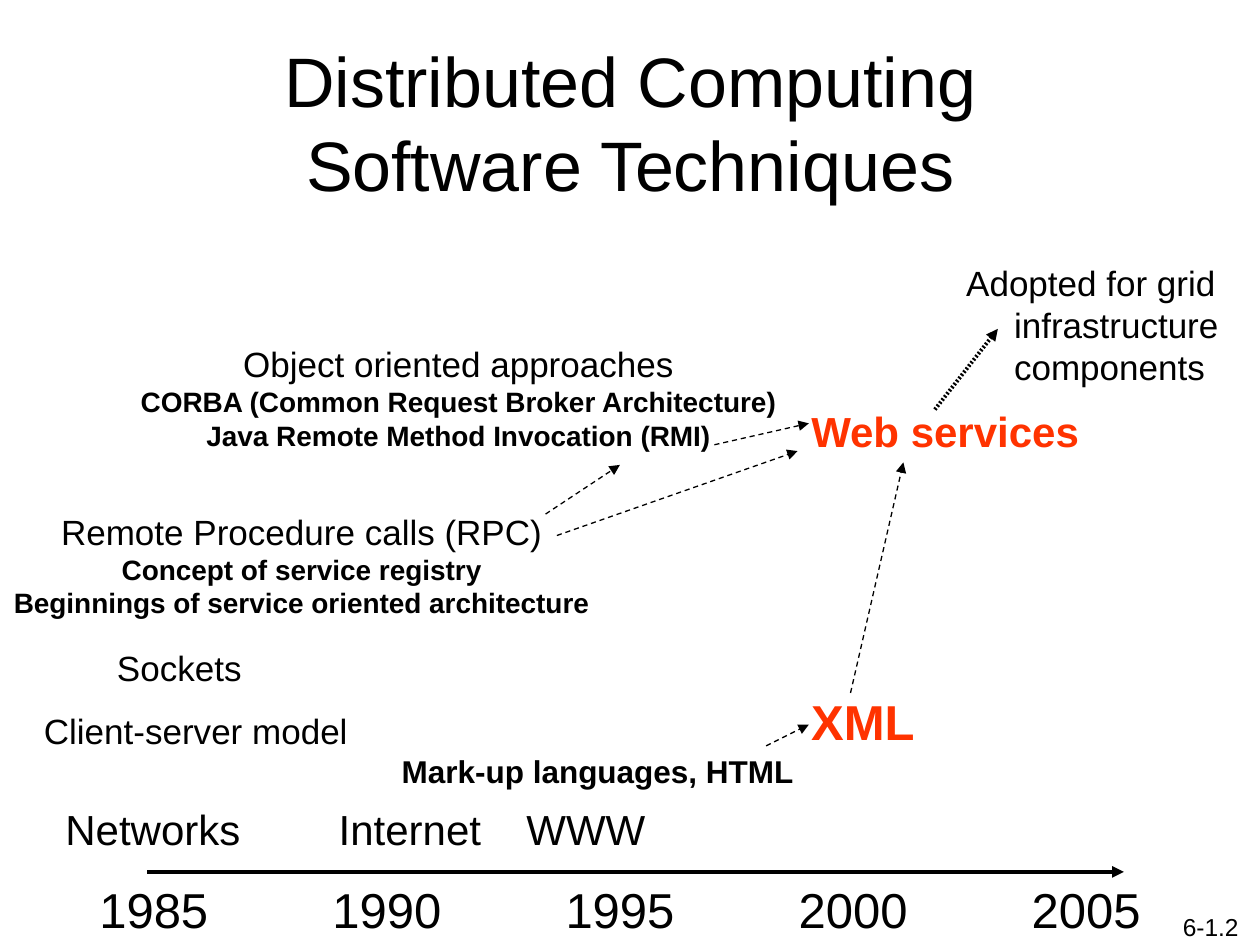
from lxml import etree
from pptx import Presentation
from pptx.dml.color import RGBColor
from pptx.enum.dml import MSO_LINE
from pptx.enum.shapes import MSO_CONNECTOR
from pptx.enum.text import MSO_ANCHOR, MSO_AUTO_SIZE, PP_ALIGN
from pptx.oxml.ns import qn
from pptx.util import Inches, Pt

LEFT, CENTER, RIGHT = PP_ALIGN.LEFT, PP_ALIGN.CENTER, PP_ALIGN.RIGHT
STRAIGHT = MSO_CONNECTOR.STRAIGHT
DASH = MSO_LINE.DASH
FINE_DOTS = "50000"  # dot and gap, in thousandths of a percent of the line width
COLORS = {"text": "000000", "accent": "FF3300"}
FONT = "Arial"

TITLE = ["Distributed Computing", "Software Techniques"]
PAGE = "6-1.2"
YEARS = range(1985, 2006, 5)
YEAR_LEFT, YEAR_STEP = 0.69, 1.85

# text, left, width
ERAS = [("Networks", 0.42, 1.62), ("Internet", 2.59, 1.36), ("WWW", 4.08, 1.18)]

# heading, bold details, box
APPROACHES = [
    ("Remote Procedure calls (RPC)",
     ["Concept of service registry", "Beginnings of service oriented architecture"],
     (0.01, 4, 4.77, 0.97)),
    ("Object oriented approaches",
     ["CORBA (Common Request Broker Architecture)", "Java Remote Method Invocation (RMI)"],
     (1.01, 2.67, 5.26, 0.97)),
]

# text, box, size, bold, color
LABELS = [
    ("Sockets", (0.83, 5.08, 1.21, 0.44), 20, False, "text"),
    ("Client-server model", (0.25, 5.58, 2.63, 0.44), 20, False, "text"),
    ("Mark-up languages, HTML", (3.09, 5.92, 3.33, 0.4), 18, True, "text"),
    ("XML", (6.34, 5.44, 1.04, 0.57), 28, True, "accent"),
    ("Web services", (6.34, 3.17, 2.35, 0.5), 24, True, "accent"),
]
ADOPTION = "Adopted for grid infrastructure components"

# start, end, width, dash
ARROWS = [
    ((1.17, 6.92), (8.92, 6.92), 2.25, None),        # time axis
    ((7.42, 3.25), (7.92, 2.61), 2.25, FINE_DOTS),   # Web services to grid
    ((6.75, 5.5), (7.17, 3.67), 0.75, DASH),         # XML to Web services
    ((6.08, 5.92), (6.42, 5.75), 0.75, DASH),        # HTML to XML
    ((4.42, 4.25), (6.33, 3.58), 0.75, DASH),        # RPC to Web services
    ((4.33, 4.08), (4.92, 3.69), 0.75, DASH),        # RPC to objects
    ((5.67, 3.53), (6.42, 3.36), 0.75, DASH),        # RMI to Web services
]


def write(tf, lines, align=LEFT):
    """Fill a text frame with (text, size, bold, color) lines."""
    tf.text = "\n".join(line[0] for line in lines)
    for p, (_, size, bold, color) in zip(tf.paragraphs, lines):
        p.alignment = align
        p.space_before = Pt(0)
        for r in p.runs:
            r.font.name = FONT
            r.font.size = Pt(size)
            r.font.bold = bold
            r.font.color.rgb = RGBColor.from_string(COLORS[color])


def add_text(s, box, lines, align=LEFT, wrap=False):
    tf = s.shapes.add_textbox(*map(Inches, box)).text_frame
    tf.word_wrap = wrap
    tf.auto_size = MSO_AUTO_SIZE.NONE if wrap else MSO_AUTO_SIZE.SHAPE_TO_FIT_TEXT
    write(tf, lines, align)
    return tf


def add_arrow(s, start, end, width, dash):
    c = s.shapes.add_connector(STRAIGHT, *map(Inches, start + end))
    c.line.color.rgb = RGBColor.from_string(COLORS["text"])
    c.line.width = Pt(width)
    ln = c.line._get_or_add_ln()
    if dash == FINE_DOTS:
        dots = etree.SubElement(ln, qn("a:custDash"))
        etree.SubElement(dots, qn("a:ds"), d=dash, sp=dash)
    elif dash is not None:
        c.line.dash_style = dash
    etree.SubElement(ln, qn("a:tailEnd"), type="triangle")
    etree.SubElement(ln.getparent(), qn("a:effectLst"))


def main():
    prs = Presentation()
    prs.slide_width, prs.slide_height = Inches(10), Inches(7.5)
    s = prs.slides.add_slide(prs.slide_layouts[5])

    title = s.shapes.title
    title.left, title.top, title.width, title.height = map(Inches, (1.25, 0.25, 7.5, 1.44))
    tf = title.text_frame
    tf.vertical_anchor = MSO_ANCHOR.TOP
    tf.auto_size = MSO_AUTO_SIZE.NONE
    write(tf, [(line, 40, False, "text") for line in TITLE], CENTER)

    add_text(s, (7.85, 7.19, 2.08, 0.5), [(PAGE, 14, False, "text")], RIGHT, wrap=True)
    for i, year in enumerate(YEARS):
        add_text(s, (YEAR_LEFT + i * YEAR_STEP, 6.93, 1.1, 0.57),
                 [(str(year), 28, False, "text")])
    for text, left, width in ERAS:
        add_text(s, (left, 6.33, width, 0.5), [(text, 24, False, "text")])
    for heading, details, box in APPROACHES:
        lines = [(heading, 20, False, "text")] + [(d, 16, True, "text") for d in details]
        add_text(s, box, lines, CENTER)
    for text, box, size, bold, color in LABELS:
        add_text(s, box, [(text, size, bold, color)])

    tf = add_text(s, (7.57, 2.03, 2.43, 1.1), [(ADOPTION, 20, False, "text")], wrap=True)
    p_pr = tf.paragraphs[0]._p.get_or_add_pPr()
    p_pr.set("marL", str(Inches(0.38)))
    p_pr.set("indent", str(Inches(-0.38)))

    for arrow in ARROWS:
        add_arrow(s, *arrow)

    prs.save("out.pptx")


if __name__ == "__main__":
    main()
